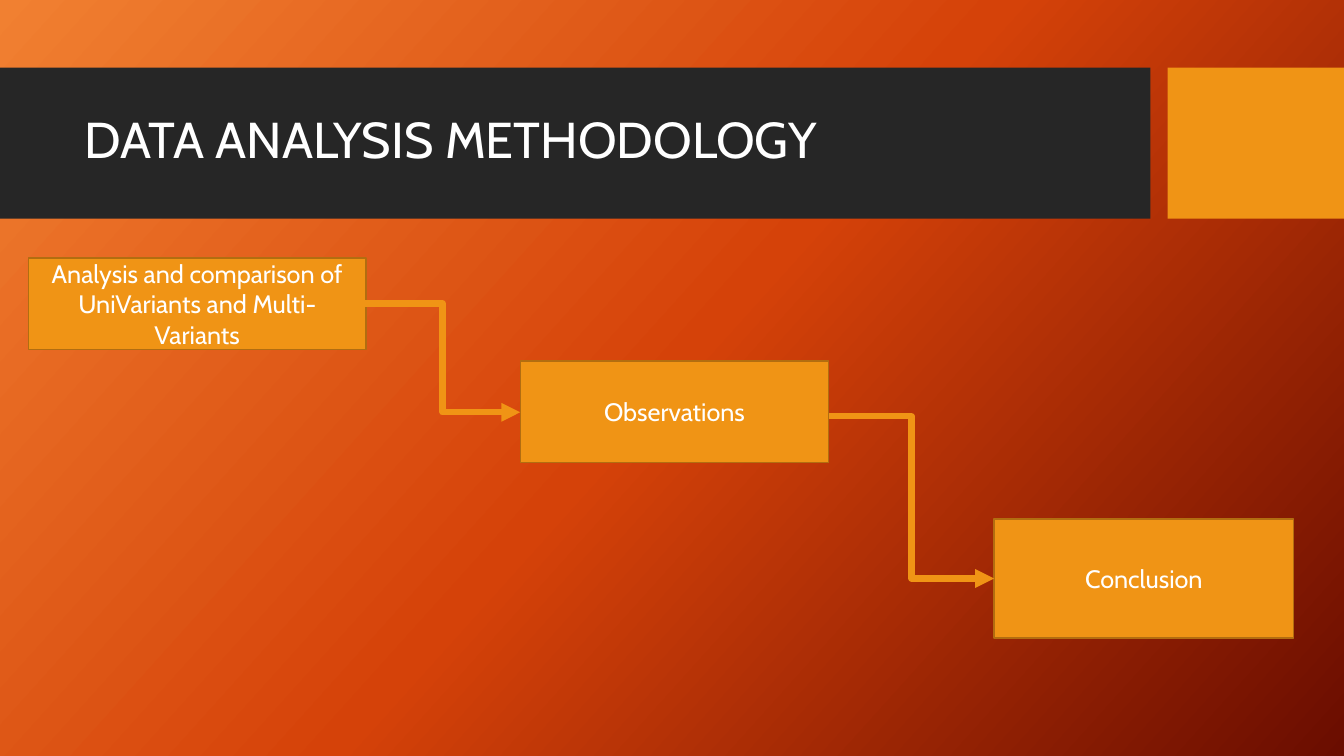
from copy import deepcopy

from pptx import Presentation
from pptx.dml.color import RGBColor
from pptx.enum.shapes import MSO_CONNECTOR as Connector, MSO_SHAPE as Shape
from pptx.enum.text import MSO_ANCHOR as Anchor, PP_ALIGN as Align
from pptx.oxml.ns import qn
from pptx.oxml.xmlchemy import OxmlElement
from pptx.util import Inches, Pt

ORANGE, BROWN, DARK, WHITE = "F09415", "B26D10", "262626", "FFFFFF"
BACKGROUND_STOPS = [(0, "F18031"), (0.5, "D54209"), (1, "6A0D00")]
BACKGROUND_ANGLE = 42

STEPS = [
    ("Analysis and comparison of UniVariants and Multi-Variants",
     (0.28, 2.56, 3.35, 0.91)),
    ("Observations", (5.16, 3.58, 3.06, 1.01)),
    ("Conclusion", (9.86, 5.15, 2.97, 1.18)),
]
ARROWS = [(3.62, 3.01, 5.16, 4.09), (8.22, 4.13, 9.86, 5.74)]


def color(hex_value):
    """Turn a hex string into a colour."""
    return RGBColor.from_string(hex_value)


def set_background(slide):
    """Fill the slide with the diagonal three-colour gradient."""
    fill = slide.background.fill
    fill.gradient()
    fill.gradient_angle = 360 - BACKGROUND_ANGLE
    stop_list = next(slide.element.iter(qn("a:gsLst")))
    stop_list.append(deepcopy(stop_list[-1]))
    for stop, (position, hex_value) in zip(fill.gradient_stops, BACKGROUND_STOPS):
        stop.position = position
        stop.color.rgb = color(hex_value)


def write_text(shape, text, size, **paragraph_format):
    """Write one white paragraph, centred vertically in the shape."""
    frame = shape.text_frame
    frame.word_wrap = True
    frame.vertical_anchor = Anchor.MIDDLE
    paragraph = frame.paragraphs[0]
    paragraph.text = text
    for name, value in paragraph_format.items():
        setattr(paragraph, name, value)
    font = paragraph.runs[0].font
    for name, value in {"name": "Cabin", "size": Pt(size)}.items():
        setattr(font, name, value)
    font.color.rgb = color(WHITE)


def add_box(slide, bounds, fill, outline=None):
    """Add a flat rectangle, outlined if a colour is given."""
    box = slide.shapes.add_shape(Shape.RECTANGLE, *map(Inches, bounds))
    box.shadow.inherit = False
    box.fill.solid()
    box.fill.fore_color.rgb = color(fill)
    if outline:
        box.line.color.rgb = color(outline)
        box.line.width = Pt(1)
    else:
        box.line.fill.background()
    return box


def add_title(slide, text):
    """Add the title on the dark band."""
    title = slide.shapes.add_textbox(*map(Inches, (0.74, 0.82, 10.51, 1.18)))
    write_text(title, text, 36, line_spacing=0.9)


def add_arrow(slide, points):
    """Add a bent arrow between two steps."""
    arrow = slide.shapes.add_connector(Connector.ELBOW, *map(Inches, points))
    arrow.line.color.rgb = color(ORANGE)
    arrow.line.width = Pt(4.5)
    head = OxmlElement("a:tailEnd")
    head.set("type", "triangle")
    arrow.line._get_or_add_ln().append(head)
    arrow._element.spPr.append(OxmlElement("a:effectLst"))


def main():
    """Build the slide and save it."""
    presentation = Presentation()
    presentation.slide_width = Inches(13.33)
    presentation.slide_height = Inches(7.5)
    slide = presentation.slides.add_slide(presentation.slide_layouts[6])

    set_background(slide)
    add_box(slide, (0, 0.67, 11.41, 1.5), DARK)
    add_box(slide, (11.58, 0.67, 1.75, 1.5), ORANGE)
    add_title(slide, "DATA ANALYSIS METHODOLOGY")
    for text, bounds in STEPS:
        step = add_box(slide, bounds, ORANGE, BROWN)
        write_text(step, text, 18, alignment=Align.CENTER)
    for points in ARROWS:
        add_arrow(slide, points)

    presentation.save("out.pptx")


main()
